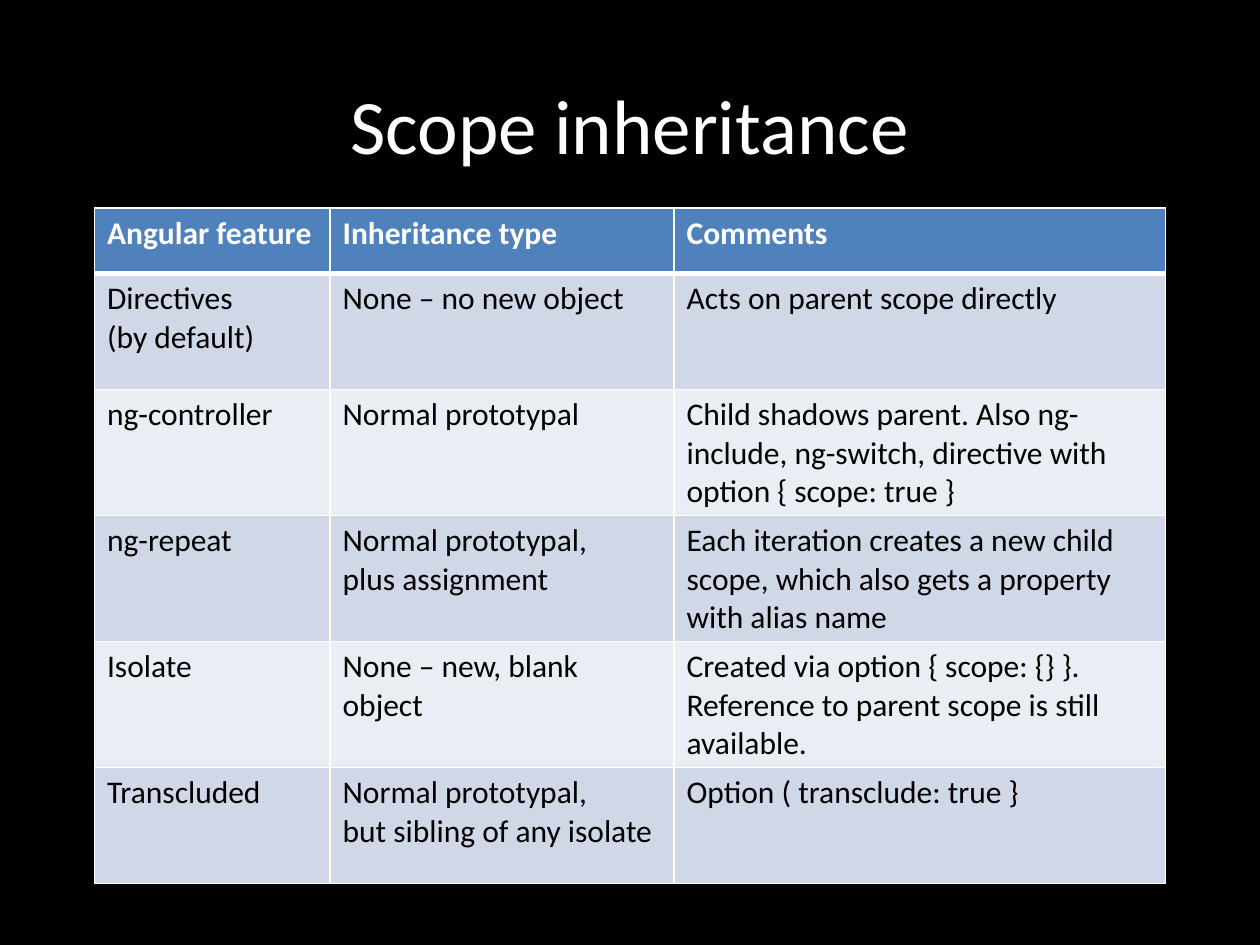
from lxml import etree
from pptx import Presentation
from pptx.dml.color import RGBColor
from pptx.enum.text import MSO_ANCHOR, PP_ALIGN
from pptx.oxml.ns import qn
from pptx.util import Inches, Pt

MIDDLE, CENTER = MSO_ANCHOR.MIDDLE, PP_ALIGN.CENTER

# Content: a line break in a cell starts a new paragraph
TITLE = "Scope inheritance"
ROWS = [
    ("Angular feature", "Inheritance type", "Comments"),
    ("Directives \n(by default)", "None – no new object",
     "Acts on parent scope directly"),
    ("ng-controller", "Normal prototypal",
     "Child shadows parent. Also ng-include, ng-switch, "
     "directive with option { scope: true }"),
    ("ng-repeat", "Normal prototypal,\nplus assignment",
     "Each iteration creates a new child scope, "
     "which also gets a property with alias name"),
    ("Isolate", "None – new, blank object",
     "Created via option { scope: {} }. "
     "Reference to parent scope is still available."),
    ("Transcluded", "Normal prototypal,\nbut sibling of any isolate",
     "Option ( transclude: true }"),
]

THEME = {
    "back": "000000", "rule": "FFFFFF", "head": "4F81BD",
    "bands": ("E9EDF4", "D0D8E8"),
    "title": {"size": Pt(44), "name": "Calibri", "color": "FFFFFF"},
    "top": {"size": Pt(18), "name": "Calibri", "color": "FFFFFF", "bold": True},
    "body": {"size": Pt(18), "name": "Calibri", "color": "000000", "bold": False},
}

# Layout in inches
WIDE, HIGH = 10, 7.5
LEFT, SPAN = 0.75, 8.5
COLS = (1.87, 2.73, 3.9)
HEAD_H, ROW_H = 0.52, 0.92


def paint(fill, color):
    fill.solid()
    fill.fore_color.rgb = RGBColor.from_string(color)


def write(frame, text, style):
    frame.text = text
    for para in frame.paragraphs:
        for run in para.runs:
            for key, value in style.items():
                if key == "color":
                    run.font.color.rgb = RGBColor.from_string(value)
                else:
                    setattr(run.font, key, value)


def edge(cell, widths):
    props = cell._tc.get_or_add_tcPr()
    for spot, (side, width) in enumerate(widths.items()):
        line = etree.Element(qn("a:ln" + side), w=str(Pt(width)))
        solid = etree.SubElement(line, qn("a:solidFill"))
        etree.SubElement(solid, qn("a:srgbClr"), val=THEME["rule"])
        props.insert(spot, line)


deck = Presentation()
deck.slide_width, deck.slide_height = Inches(WIDE), Inches(HIGH)
slide = deck.slides.add_slide(deck.slide_layouts[6])
paint(slide.background.fill, THEME["back"])

# Title
box = slide.shapes.add_textbox(Inches(LEFT), Inches(0.18), Inches(SPAN), Inches(1.61))
frame = box.text_frame
frame.word_wrap = True
frame.vertical_anchor = MIDDLE
write(frame, TITLE, THEME["title"])
frame.paragraphs[0].alignment = CENTER

# Table
tall = HEAD_H + ROW_H * (len(ROWS) - 1)
table = slide.shapes.add_table(len(ROWS), len(COLS), Inches(LEFT), Inches(1.65),
                               Inches(SPAN), Inches(tall)).table
for col, width in zip(table.columns, COLS):
    col.width = Inches(width)
for r, texts in enumerate(ROWS):
    first = r == 0
    table.rows[r].height = Inches(HEAD_H if first else ROW_H)
    for c, text in enumerate(texts):
        cell = table.cell(r, c)
        write(cell.text_frame, text, THEME["top" if first else "body"])
        paint(cell.fill, THEME["head"] if first else THEME["bands"][r % 2])
        edge(cell, {"L": 1, "R": 1, "T": 3 if r == 1 else 1, "B": 3 if first else 1})

deck.save("out.pptx")
